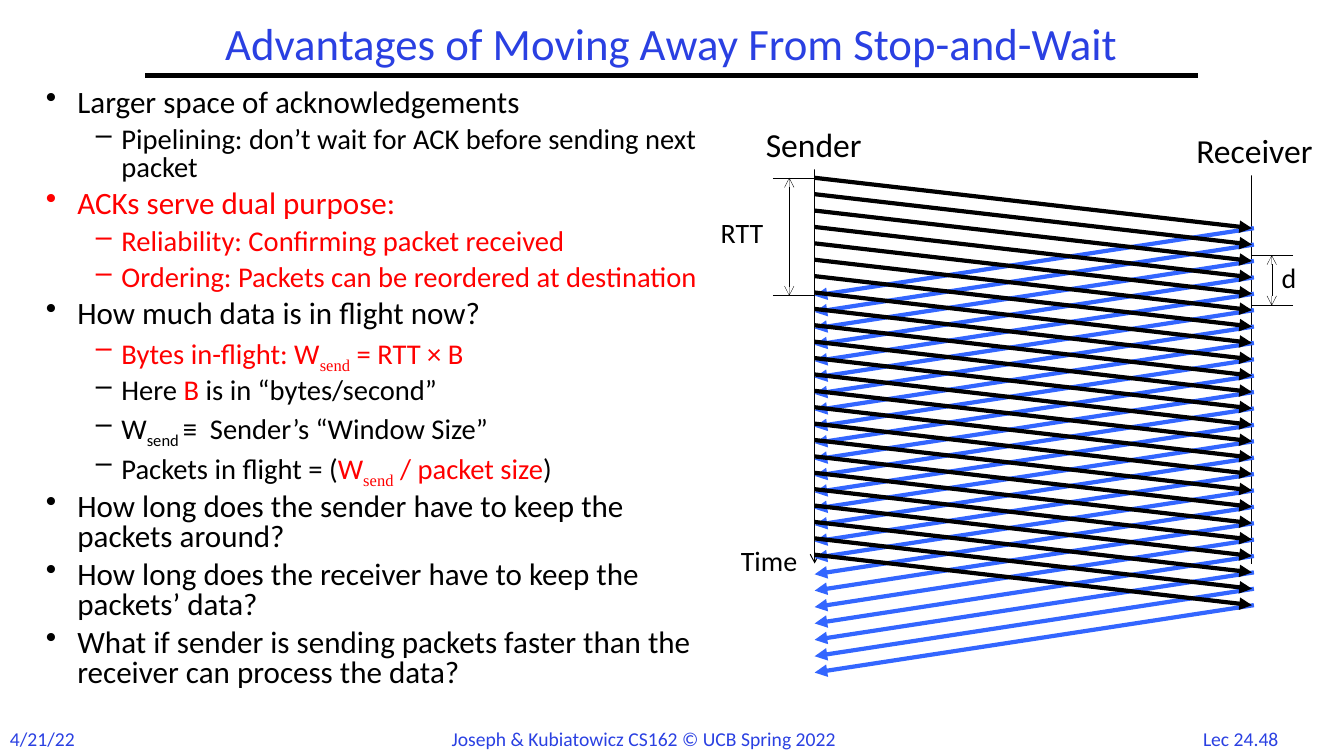
from lxml.etree import SubElement as Sub
from pptx import Presentation
from pptx.dml.color import RGBColor
from pptx.enum.shapes import MSO_CONNECTOR as Conn, MSO_SHAPE as Shape
from pptx.enum.text import MSO_ANCHOR as Anchor, PP_ALIGN as Align
from pptx.oxml.ns import qn
from pptx.util import Cm, Pt

BLACK = RGBColor(0x00, 0x00, 0x00)
WHITE = RGBColor(0xFF, 0xFF, 0xFF)
RED = RGBColor(0xFF, 0x00, 0x00)
NAVY = RGBColor(0x2A, 0x40, 0xE2)
BLUE = RGBColor(0x33, 0x66, 0xFF)
SANS, SERIF = "Calibri", "Times New Roman"


def write(par, text, **form):
    run = par.add_run()
    run.text = text
    for key, value in {"name": SANS, **form}.items():
        if key == "color":
            run.font.color.rgb = value
        else:
            setattr(run.font, key, value)
    return run


def draw(start, end, color, width, head=None, tail=None):
    """Draw a straight line; head and tail name the arrowheads at start and end."""
    line = slide.shapes.add_connector(Conn.STRAIGHT, *map(Cm, start + end))
    line.line.color.rgb = color
    line.line.width = Pt(width)
    for tag, kind in (("a:headEnd", head), ("a:tailEnd", tail)):
        if kind:
            Sub(line.line._get_or_add_ln(), qn(tag), type=kind)
    Sub(line._element.spPr, qn("a:effectLst"))


deck = Presentation()
deck.slide_width, deck.slide_height = Cm(33.87), Cm(19.05)
slide = deck.slides.add_slide(deck.slide_layouts[5])

# Title and rule
title = slide.shapes.title
place = {"left": 3.66, "top": 0.43, "width": 26.52, "height": 1.47}
for key, value in place.items():
    setattr(title, key, Cm(value))
title.text_frame.vertical_anchor = Anchor.MIDDLE
par = title.text_frame.paragraphs[0]
par.alignment, par.line_spacing = Align.CENTER, 0.9
write(par, "Advantages of Moving Away From Stop-and-Wait", size=Pt(32), color=NAVY)
draw((3.66, 1.9), (30.2, 1.9), BLACK, 3)

# Bullets: level, then runs of text, colour and optional subscript font
points = [
    (0, [("Larger space of acknowledgements", BLACK)]),
    (1, [("Pipelining: don’t wait for ACK before sending next packet", BLACK)]),
    (0, [("ACKs serve dual purpose:", RED)]),
    (1, [("Reliability: Confirming packet received", RED)]),
    (1, [("Ordering: Packets can be reordered at destination", RED)]),
    (0, [("How much data is in flight now?", BLACK)]),
    (1, [("Bytes in-flight: W", RED), ("send", RED, SERIF), (" = RTT × B", RED)]),
    (1, [("Here ", BLACK), ("B", RED), (" is in “bytes/second”", BLACK)]),
    (1, [("W", BLACK), ("send ", BLACK, SANS), ("≡  Sender’s “Window Size”", BLACK)]),
    (1, [("Packets in flight = (", BLACK), ("W", RED), ("send", RED, SERIF),
         (" / packet size", RED), (")", BLACK)]),
    (0, [("How long does the sender have to keep the packets around?", BLACK)]),
    (0, [("How long does the receiver have to keep the packets’ data?", BLACK)]),
    (0, [("What if sender is sending packets faster than the receiver can "
          "process the data?", BLACK)]),
]
levels = [("•", 0.79, 0.79, 22.2), ("–", 1.9, 0.64, 20.4)]
body = slide.shapes.add_textbox(Cm(0.91), Cm(2.13), Cm(17), Cm(16.08)).text_frame
body.word_wrap = True
for num, (level, runs) in enumerate(points):
    mark, left, hang, size = levels[level]
    par = body.add_paragraph() if num else body.paragraphs[0]
    props = par._p.get_or_add_pPr()
    props.set("marL", str(Cm(left)))
    props.set("indent", str(-Cm(hang)))
    Sub(props, qn("a:buChar"), char=mark)
    par.level, par.line_spacing = level, 0.8
    if num:
        par.space_before = Pt(6)
    for text, color, *sub in runs:
        run = write(par, text, size=Pt(size), color=color, name=sub[0] if sub else SANS)
        if sub:
            run.font._element.set("baseline", "-25000")

# Time axes
SEND, RECV = 20.53, 31.55
START, STEP, COUNT = 4.48, 0.413, 24
DELAY, BACK = 1.27, 1.7
draw((SEND, 4.27), (SEND, 14.2), BLACK, 0.75, tail="arrow")
draw((RECV, 4.27), (RECV, 14.2), BLACK, 0.75)

# Axis names
for name, left, top, width in (("Sender", 19.05, 3, 3.28), ("Receiver", 29.9, 3.15, 3.89)):
    box = slide.shapes.add_shape(Shape.RECTANGLE, Cm(left), Cm(top), Cm(width), Cm(1.27))
    box.shadow.inherit = False
    box.fill.solid()
    box.fill.fore_color.rgb = WHITE
    box.line.fill.background()
    box.text_frame.vertical_anchor = Anchor.TOP
    par = box.text_frame.paragraphs[0]
    par.alignment = Align.LEFT
    write(par, name, size=Pt(24), color=BLACK)

# Packets and their acknowledgements
for num in range(COUNT):
    sent = START + num * STEP
    got = sent + DELAY
    draw((RECV + 0.05, got), (SEND, got + BACK), BLUE, 3, tail="triangle")
    draw((SEND, sent), (RECV, got), BLACK, 3, tail="triangle")

# Measures for the round trip and the delay
for near, mid, far, top, end in (
    (SEND, 19.89, 19.48, START, START + DELAY + BACK),
    (RECV, 32.05, 32.59, 6.43, 6.43 + DELAY),
):
    for level in (top, end):
        draw((far, level), (near, level), BLACK, 0.25)
    draw((mid, top), (mid, end), BLACK, 0.25, head="arrow", tail="arrow")

# Labels and footer
for text, left, top, width, size, color, align in (
    ("Time", 18.42, 13.56, 2.08, 20, BLACK, Align.LEFT),
    ("RTT", 17.91, 5.31, 2.01, 20, BLACK, Align.LEFT),
    ("d", 32.05, 6.43, 1.8, 20, BLACK, Align.LEFT),
    ("4/21/22", 0, 18.19, 2.3, 14, NAVY, Align.LEFT),
    ("Joseph & Kubiatowicz CS162 © UCB Spring 2022", 11.13, 18.19, 10.8, 14, NAVY, Align.LEFT),
    ("Lec 24.48", 29.9, 18.19, 2.74, 14, NAVY, Align.CENTER),
):
    frame = slide.shapes.add_textbox(Cm(left), Cm(top), Cm(width), Cm(0.86)).text_frame
    frame.word_wrap = True
    par = frame.paragraphs[0]
    par.alignment = align
    write(par, text, size=Pt(size), color=color)

deck.save("out.pptx")
